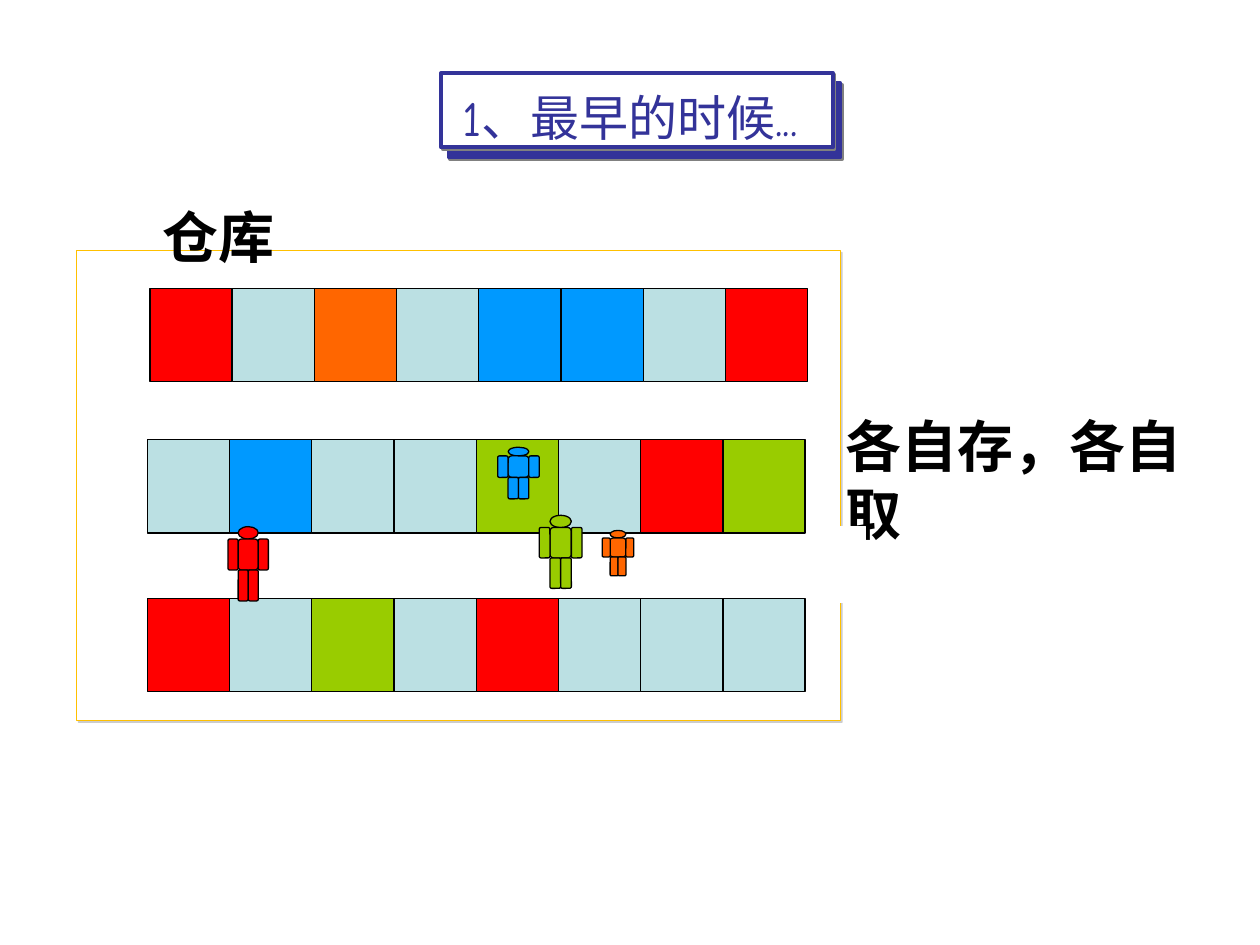
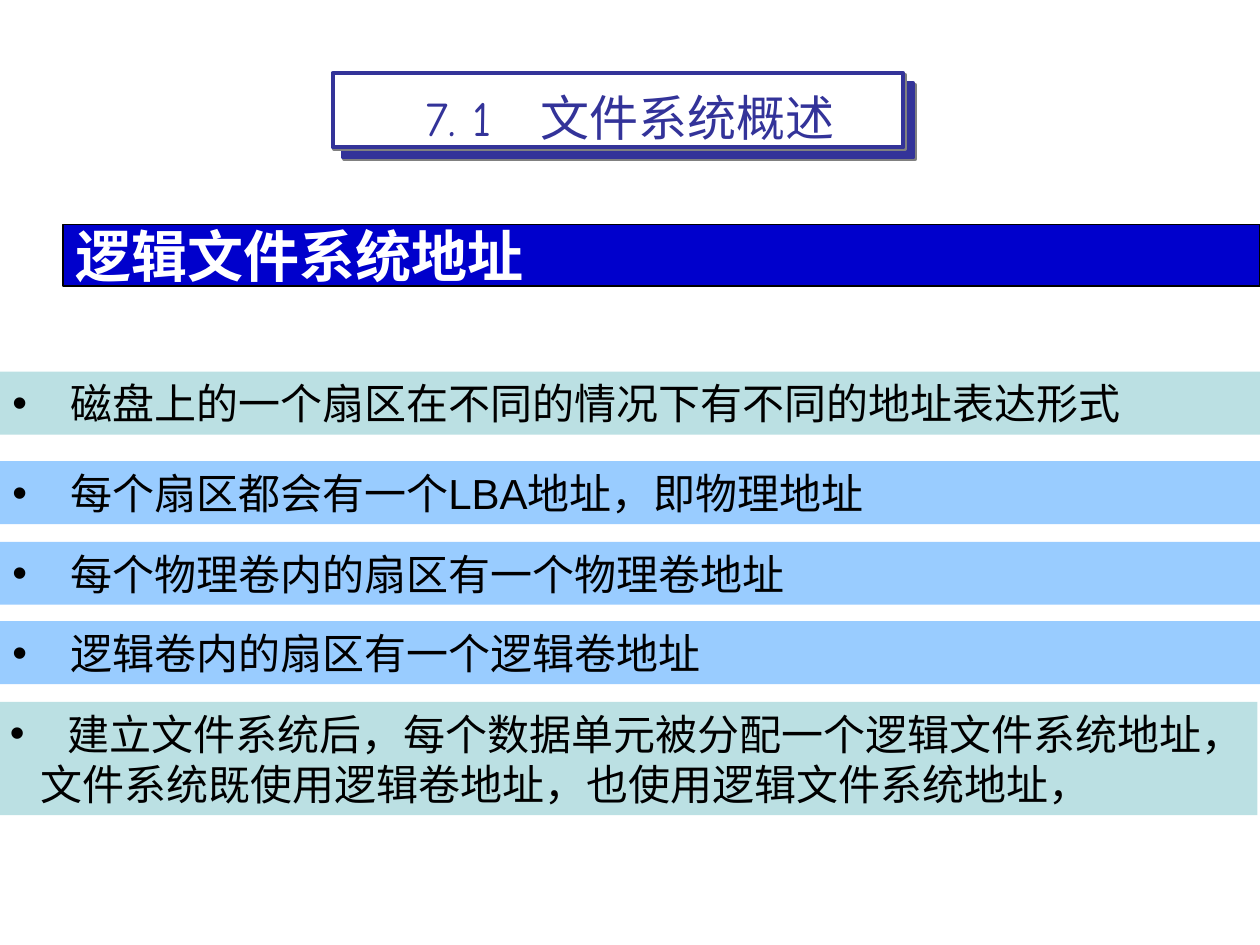
"""Build two slides: a shared warehouse and logical file system addresses."""
from lxml import etree
from pptx import Presentation
from pptx.dml.color import RGBColor
from pptx.enum.shapes import MSO_SHAPE
from pptx.enum.text import MSO_ANCHOR, MSO_AUTO_SIZE, PP_ALIGN
from pptx.oxml.ns import qn
from pptx.util import Inches, Pt

RECT, OVAL, ROUND = MSO_SHAPE.RECTANGLE, MSO_SHAPE.OVAL, MSO_SHAPE.ROUNDED_RECTANGLE
MIDDLE, LEFT, CENTER = MSO_ANCHOR.MIDDLE, PP_ALIGN.LEFT, PP_ALIGN.CENTER
GROW = MSO_AUTO_SIZE.SHAPE_TO_FIT_TEXT

BLACK = RGBColor(0x00, 0x00, 0x00)
WHITE = RGBColor(0xFF, 0xFF, 0xFF)
INDIGO = RGBColor(0x33, 0x33, 0x99)
NAVY = RGBColor(0x00, 0x00, 0xCC)
SKY = RGBColor(0x99, 0xCC, 0xFF)
PALE = RGBColor(0xBB, 0xE0, 0xE3)
RED = RGBColor(0xFF, 0x00, 0x00)
BLUE = RGBColor(0x00, 0x99, 0xFF)
GREEN = RGBColor(0x99, 0xCC, 0x00)
ORANGE = RGBColor(0xFF, 0x66, 0x00)
GOLD = RGBColor(0xFF, 0xC0, 0x00)
GRAY = RGBColor(0x80, 0x80, 0x80)
SILVER = RGBColor(0xC0, 0xC0, 0xC0)

BODY, HEAD = "Arial", "Comic Neue"
INKS = {"r": RED, "b": BLUE, "g": GREEN, "o": ORANGE, ".": PALE}
ROWS = [(1.19, 2.29, "r.o.bb.r"), (1.17, 3.49, ".b..g.rg"), (1.17, 4.75, "r.g.r...")]
ROW_W, CELL_H = 5.22, 0.74
FOLK = [(3.95, 3.55, 0.33, 0.41, BLUE), (1.81, 4.18, 0.32, 0.59, RED),
        (4.28, 4.09, 0.34, 0.58, GREEN), (4.78, 4.21, 0.25, 0.36, ORANGE)]
FACTS = [
    (0, 2.95, 0.5, PALE, "磁盘上的一个扇区在不同的情况下有不同的地址表达形式"),
    (0, 3.66, 0.5, SKY, "每个扇区都会有一个LBA地址，即物理地址"),
    (0, 4.3, 0.5, SKY, "每个物理卷内的扇区有一个物理卷地址"),
    (0, 4.93, 0.5, SKY, "逻辑卷内的扇区有一个逻辑卷地址"),
    (-0.02, 5.57, 0.9, PALE, "建立文件系统后，每个数据单元被分配一个逻辑文件系统地址，"
     "文件系统既使用逻辑卷地址，也使用逻辑文件系统地址，"),
]


def block(shapes, kind, x, y, w, h, fill, line=BLACK, weight=0.75):
    """Add a filled preset shape, with no outline if line is None."""
    shape = shapes.add_shape(kind, Inches(x), Inches(y), Inches(w), Inches(h))
    shape.shadow.inherit = False
    shape.fill.solid()
    shape.fill.fore_color.rgb = fill
    if line is None:
        shape.line.fill.background()
    else:
        shape.line.color.rgb = line
        shape.line.width = Pt(weight)
    return shape


def shade(shape, color, alpha=100):
    """Cast a small shadow down and to the right."""
    effects = shape._element.spPr.find(qn("a:effectLst"))
    outer = etree.SubElement(effects, qn("a:outerShdw"), dist=str(Pt(1.4)),
                             dir="2700000", algn="ctr", rotWithShape="0")
    tint = etree.SubElement(outer, qn("a:srgbClr"), val=str(color))
    etree.SubElement(tint, qn("a:alpha"), val=str(alpha * 1000))


def style(para, size, color, face=BODY, bold=False, align=LEFT):
    """Set the font and alignment of a paragraph."""
    para.alignment = align
    para.font.name, para.font.size, para.font.bold = face, Pt(size), bold
    para.font.color.rgb = color


def title(slide, text, x, w, shift):
    """Draw the double title frame and put the title over it."""
    group = slide.shapes.add_group_shape()
    for left, top, fill in [(x + shift, 0.66, INDIGO), (x, 0.58, WHITE)]:
        shade(block(group.shapes, RECT, left, top, w, 0.59, fill, INDIGO, 2.25), GRAY)
    head = slide.shapes.title
    head.left, head.top = Inches(0.5), Inches(0.3)
    head.width, head.height = Inches(9), Inches(1.25)
    head.text_frame.text = text
    head.text_frame.vertical_anchor = MIDDLE
    style(head.text_frame.paragraphs[0], 28, INDIGO, HEAD, align=CENTER)
    slide.shapes._spTree.append(head._element)


def label(slide, text, x, y, w):
    """Add a large bold label that grows to stay on one line."""
    frame = slide.shapes.add_textbox(Inches(x), Inches(y), Inches(w), Inches(0.64)).text_frame
    frame.word_wrap = False
    frame.auto_size = GROW
    frame.text = text
    style(frame.paragraphs[0], 32, BLACK, bold=True)


def shelf(slide, x, y, marks):
    """Draw a row of cells coloured by their marks."""
    step = ROW_W / len(marks)
    for i, mark in enumerate(marks):
        block(slide.shapes, RECT, x + i * step, y, step, CELL_H, INKS[mark])


def person(slide, x, y, w, h, fill):
    """Draw a figure from a head, a torso, two legs and two arms."""
    shapes = slide.shapes.add_group_shape().shapes
    limb, skull = w / 4, h / 6
    part = (h - skull) / 2
    block(shapes, OVAL, x + limb, y, 2 * limb, skull, fill)
    for col, row, span in [(1, 0, 2), (1, 1, 1), (2, 1, 1), (3, 0, 1), (0, 0, 1)]:
        block(shapes, ROUND, x + col * limb, y + skull + row * part, span * limb, part, fill)


def bullet(para):
    """Give a paragraph a hanging bullet and a tab stop for its text."""
    props = para._p.get_or_add_pPr()
    hang = Inches(0.24)
    props.set("marL", str(hang))
    props.set("indent", str(-hang))
    color = etree.SubElement(props, qn("a:buClr"))
    etree.SubElement(color, qn("a:srgbClr"), val=str(BLACK))
    etree.SubElement(props, qn("a:buFont"), typeface=BODY)
    etree.SubElement(props, qn("a:buChar"), char="•")
    tabs = etree.SubElement(props, qn("a:tabLst"))
    for stop in (0.22, 0.46):
        etree.SubElement(tabs, qn("a:tab"), pos=str(Inches(stop)), algn="l")


def fact(slide, x, y, h, fill, text):
    """Add a full-width band with one bulleted statement."""
    frame = block(slide.shapes, RECT, x, y, 10, h, fill, None).text_frame
    frame.vertical_anchor = MIDDLE
    frame.text = "\t" + text
    bullet(frame.paragraphs[0])
    style(frame.paragraphs[0], 24, BLACK)


def store(slide):
    """Fill the warehouse slide."""
    shade(block(slide.shapes, RECT, 0.61, 1.99, 6.06, 3.73, WHITE, GOLD), SILVER, 80)
    title(slide, "1、最早的时候...", 3.5, 3.11, 0.06)
    for row in ROWS:
        shelf(slide, *row)
    label(slide, "仓库", 1.19, 1.56, 1.09)
    label(slide, "各自存，各自取", 6.61, 3.22, 3.31)
    for one in FOLK:
        person(slide, *one)
    block(slide.shapes, RECT, 6.63, 4.18, 0.24, 0.6, WHITE, WHITE)


def address(slide):
    """Fill the address slide."""
    title(slide, "7. 1　文件系统概述", 2.64, 4.53, 0.08)
    frame = block(slide.shapes, RECT, 0.5, 1.78, 9.5, 0.49, NAVY).text_frame
    frame.vertical_anchor = MIDDLE
    frame.text = "逻辑文件系统地址"
    style(frame.paragraphs[0], 32, WHITE, bold=True)
    for item in FACTS:
        fact(slide, *item)


def main():
    """Build and save the deck."""
    deck = Presentation()
    deck.slide_width, deck.slide_height = Inches(10), Inches(7.5)
    for fill in (store, address):
        fill(deck.slides.add_slide(deck.slide_layouts[5]))
    deck.save("out.pptx")


if __name__ == "__main__":
    main()
